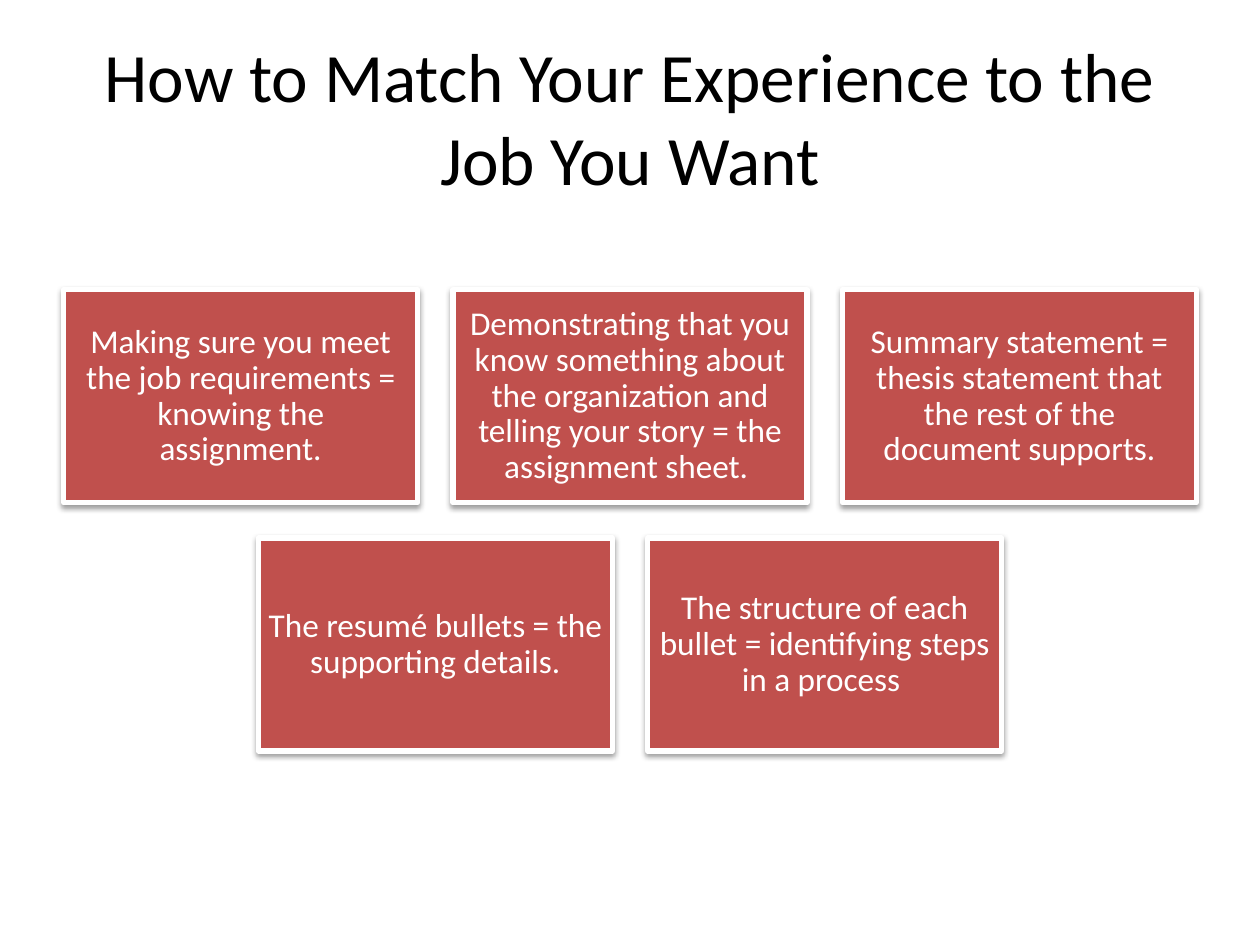
from dataclasses import dataclass

import lxml.etree
import pptx
import pptx.dml.color
import pptx.enum.shapes
import pptx.enum.text
import pptx.oxml.ns
import pptx.util
from pptx.util import Inches

COLORS = {"card": "C0504D", "white": "FFFFFF", "black": "000000"}
FONT = "Calibri"

# Card grid, in inches
SLIDE_WIDTH, SLIDE_HEIGHT = 10, 7.5
CARD_WIDTH, CARD_HEIGHT = 2.81, 1.69
GAP = 0.28
GRID_TOP = 2.3

TITLE = "How to Match Your Experience to the Job You Want"
CARD_ROWS = [
    [
        "Making sure you meet the job requirements = knowing the assignment.",
        "Demonstrating that you know something about the organization and "
        "telling your story = the assignment sheet. ",
        "Summary statement = thesis statement that the rest of the document supports.",
    ],
    [
        "The resumé bullets = the supporting details.",
        "The structure of each bullet = identifying steps in a process ",
    ],
]


@dataclass
class Card:
    text: str
    left: float
    top: float


def rgb(name: str) -> pptx.dml.color.RGBColor:
    return pptx.dml.color.RGBColor.from_string(COLORS[name])


def lay_out_cards() -> list[Card]:
    """Centre each row of cards on the slide."""
    cards = []
    for row, texts in enumerate(CARD_ROWS):
        row_width = len(texts) * (CARD_WIDTH + GAP) - GAP
        row_left = (SLIDE_WIDTH - row_width) / 2
        top = GRID_TOP + row * (CARD_HEIGHT + GAP)
        for column, text in enumerate(texts):
            cards.append(Card(text, row_left + column * (CARD_WIDTH + GAP), top))
    return cards


def format_paragraph(paragraph, size: float, color: str) -> None:
    paragraph.alignment = pptx.enum.text.PP_ALIGN.CENTER
    paragraph.font.name = FONT
    paragraph.font.size = pptx.util.Pt(size)
    paragraph.font.color.rgb = rgb(color)


def add_shadow(shape) -> None:
    """Give the shape a soft shadow straight below it."""
    shape.shadow.inherit = False
    qn = pptx.oxml.ns.qn
    effects = shape.element.spPr.find(qn("a:effectLst"))
    shadow = lxml.etree.SubElement(
        effects, qn("a:outerShdw"), blurRad=str(pptx.util.Pt(3.1)),
        dist=str(pptx.util.Pt(1.6)), dir=str(90 * 60000), rotWithShape="0")
    color = lxml.etree.SubElement(shadow, qn("a:srgbClr"), val=COLORS["black"])
    lxml.etree.SubElement(color, qn("a:alpha"), val="38000")


def add_title(slide) -> None:
    title = slide.shapes.title
    title.left, title.top = Inches(0.5), Inches(0.3)
    title.width, title.height = Inches(9), Inches(1.25)
    frame = title.text_frame
    frame.text = TITLE
    frame.auto_size = pptx.enum.text.MSO_AUTO_SIZE.NONE
    frame.vertical_anchor = pptx.enum.text.MSO_ANCHOR.MIDDLE
    format_paragraph(frame.paragraphs[0], 39.6, "black")


def add_card(slide, card: Card) -> None:
    shape = slide.shapes.add_shape(
        pptx.enum.shapes.MSO_SHAPE.RECTANGLE, Inches(card.left), Inches(card.top),
        Inches(CARD_WIDTH), Inches(CARD_HEIGHT))
    shape.fill.solid()
    shape.fill.fore_color.rgb = rgb("card")
    shape.line.color.rgb = rgb("white")
    shape.line.width = pptx.util.Pt(3)
    add_shadow(shape)

    frame = shape.text_frame
    frame.text = card.text
    frame.word_wrap = True
    frame.vertical_anchor = pptx.enum.text.MSO_ANCHOR.MIDDLE
    frame.margin_left = frame.margin_right = Inches(0.08)
    frame.margin_top = frame.margin_bottom = Inches(0.08)
    paragraph = frame.paragraphs[0]
    paragraph.line_spacing = 0.9
    format_paragraph(paragraph, 19, "white")


def main() -> None:
    presentation = pptx.Presentation()
    presentation.slide_width = Inches(SLIDE_WIDTH)
    presentation.slide_height = Inches(SLIDE_HEIGHT)
    title_only = presentation.slide_layouts[5]
    slide = presentation.slides.add_slide(title_only)
    add_title(slide)
    for card in lay_out_cards():
        add_card(slide, card)
    presentation.save("out.pptx")


if __name__ == "__main__":
    main()
